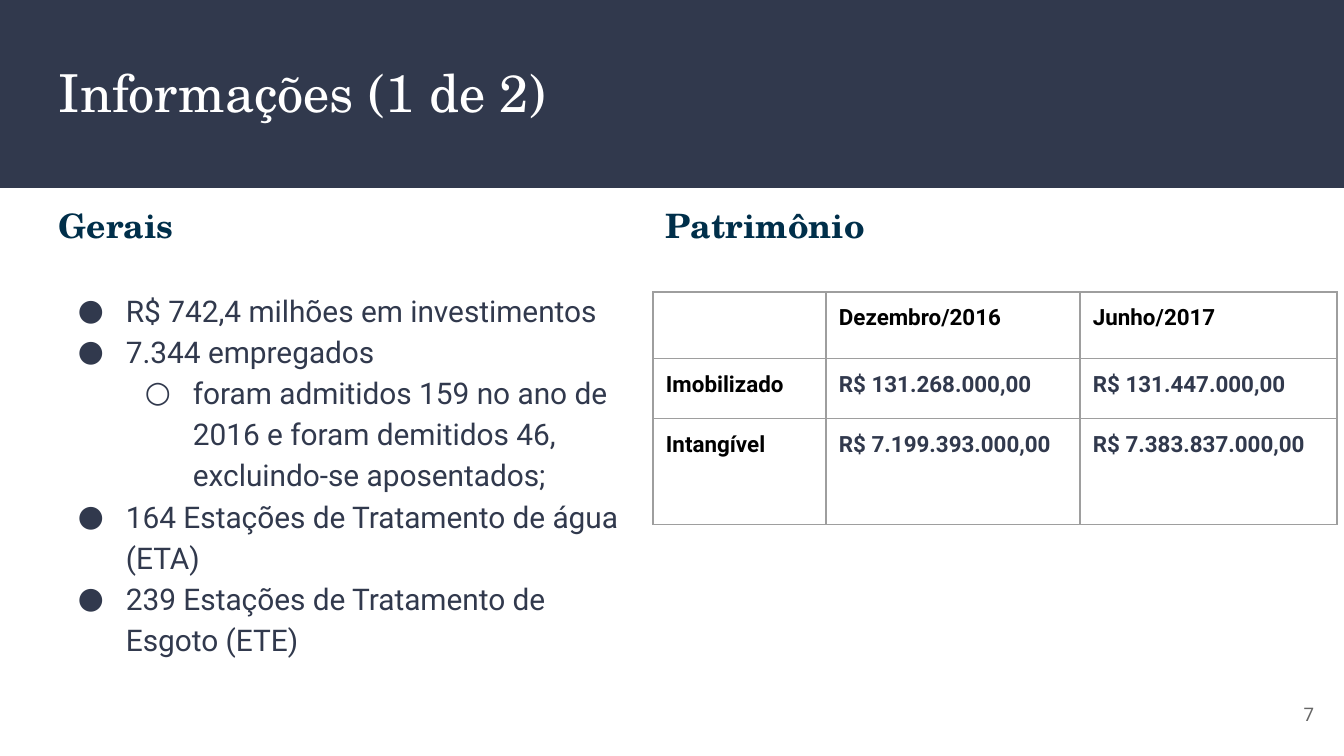
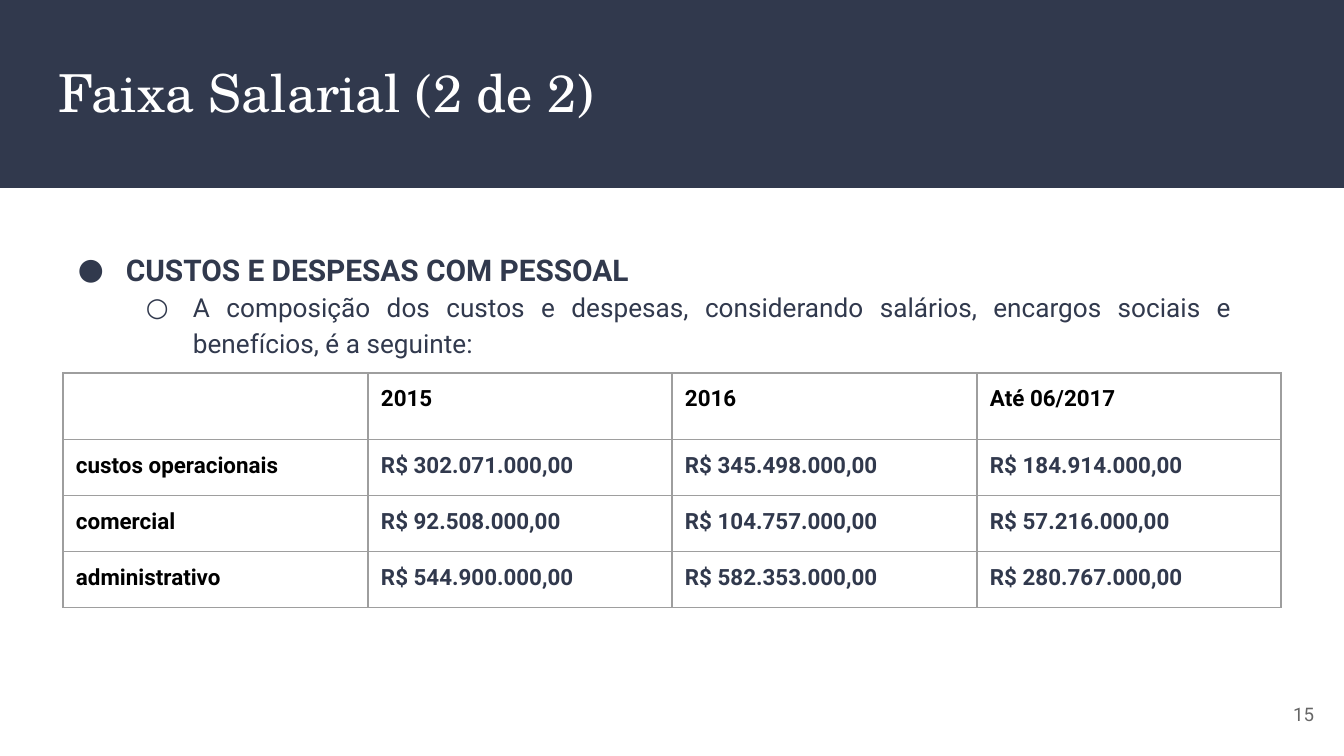
from lxml import etree
from pptx import Presentation
from pptx.dml.color import RGBColor
from pptx.enum.shapes import MSO_SHAPE
from pptx.enum.text import MSO_ANCHOR, PP_ALIGN
from pptx.oxml.ns import qn
from pptx.util import Pt

RECT = MSO_SHAPE.RECTANGLE
TOP, MIDDLE = MSO_ANCHOR.TOP, MSO_ANCHOR.MIDDLE
LEFT, RIGHT, JUSTIFY = PP_ALIGN.LEFT, PP_ALIGN.RIGHT, PP_ALIGN.JUSTIFY

NAVY = RGBColor(0x31, 0x39, 0x4D)
TEAL = RGBColor(0x00, 0x2F, 0x4A)
WHITE = RGBColor(0xFF, 0xFF, 0xFF)
BLACK = RGBColor(0x00, 0x00, 0x00)
GREY = RGBColor(0x66, 0x66, 0x66)
BORDER = RGBColor(0x9E, 0x9E, 0x9E)

SERIF, SANS = "TeX Gyre Schola", "Roboto"
SLIDE_W, SLIDE_H, BAND_H = 1344, 756, 188
INSET, INDENT = 13, 67
BULLETS = "●○"


def px(n):
    return round(n * 914400 / 134.4)


def add_run(p, text, size, color, font=SANS, bold=False):
    r = p.add_run()
    r.text = text
    r.font.size = Pt(size)
    r.font.name = font
    r.font.bold = bold
    r.font.color.rgb = color


def add_box(slide, box, anchor=TOP):
    tf = slide.shapes.add_textbox(*map(px, box)).text_frame
    tf.word_wrap = True
    tf.vertical_anchor = anchor
    tf.margin_left = tf.margin_right = px(INSET)
    tf.margin_top = tf.margin_bottom = px(INSET)
    return tf


def add_line(slide, box, text, size, color, font=SANS, bold=False, align=LEFT, anchor=TOP):
    p = add_box(slide, box, anchor).paragraphs[0]
    p.alignment = align
    add_run(p, text, size, color, font, bold)


def add_heading(slide, box, text):
    add_line(slide, box, text, 18, TEAL, SERIF, bold=True)


def set_bullet(p, level, hang):
    p.level = level
    pPr = p._p.get_or_add_pPr()
    pPr.set("marL", str(px(INDENT * (level + 1))))
    pPr.set("indent", str(-px(hang)))
    clr = etree.SubElement(pPr, qn("a:buClr"))
    etree.SubElement(clr, qn("a:srgbClr"), val=str(NAVY))
    etree.SubElement(pPr, qn("a:buFont"), typeface=SANS)
    etree.SubElement(pPr, qn("a:buChar"), char=BULLETS[level])


def add_bullets(slide, box, items, align=LEFT):
    tf = add_box(slide, box)
    for i, (level, text, size, bold) in enumerate(items):
        p = tf.add_paragraph() if i else tf.paragraphs[0]
        p.alignment = align
        p.line_spacing = 1.15
        set_bullet(p, level, 48 if size == 16 else 47)
        add_run(p, text, size, NAVY, bold=bold)


def set_borders(cell):
    tcPr = cell._tc.get_or_add_tcPr()
    for i, side in enumerate(("a:lnL", "a:lnR", "a:lnT", "a:lnB")):
        ln = etree.Element(qn(side), w=str(Pt(0.75)))
        fill = etree.SubElement(ln, qn("a:solidFill"))
        etree.SubElement(fill, qn("a:srgbClr"), val=str(BORDER))
        tcPr.insert(i, ln)


def add_grid(slide, left, top, col_widths, row_heights, rows):
    box = (left, top, sum(col_widths), sum(row_heights))
    table = slide.shapes.add_table(len(rows), len(col_widths), *map(px, box)).table
    table.first_row = table.horz_banding = False
    for column, width in zip(table.columns, col_widths):
        column.width = px(width)
    for i, (row, height) in enumerate(zip(rows, row_heights)):
        table.rows[i].height = px(height)
        for j, text in enumerate(row):
            cell = table.cell(i, j)
            cell.margin_left = cell.margin_right = px(INSET)
            cell.margin_top = cell.margin_bottom = px(INSET)
            cell.fill.background()
            set_borders(cell)
            if text:
                color = NAVY if i and j else BLACK
                add_run(cell.text_frame.paragraphs[0], text, 12, color, bold=True)


def add_base(prs, title, number):
    slide = prs.slides.add_slide(prs.slide_layouts[6])
    slide.background.fill.solid()
    slide.background.fill.fore_color.rgb = WHITE
    band = slide.shapes.add_shape(RECT, 0, 0, px(SLIDE_W), px(BAND_H))
    band.shadow.inherit = False
    band.fill.solid()
    band.fill.fore_color.rgb = NAVY
    band.line.fill.background()
    add_line(slide, (46, 47, 1252, 93), title, 28, WHITE, SERIF)
    add_line(slide, (1246, 685, 81, 58), number, 10, GREY, align=RIGHT, anchor=MIDDLE)
    return slide


def build_information(prs):
    slide = add_base(prs, "Informações (1 de 2)", "7")
    add_heading(slide, (46, 192, 587, 71), "Gerais")
    add_heading(slide, (653, 192, 587, 71), "Patrimônio")
    add_bullets(slide, (46, 274, 599, 448), [
        (0, "R$ 742,4 milhões em investimentos", 16, False),
        (0, "7.344 empregados", 16, False),
        (1, "foram admitidos 159 no ano de 2016 e foram demitidos 46, "
            "excluindo-se aposentados;", 16, False),
        (0, "164 Estações de Tratamento de água (ETA)", 16, False),
        (0, "239 Estações de Tratamento de Esgoto (ETE)", 16, False),
    ])
    add_grid(slide, 653, 292, (173, 254, 257), (64, 60, 106), [
        ("", "Dezembro/2016", "Junho/2017"),
        ("Imobilizado", "R$ 131.268.000,00", "R$ 131.447.000,00"),
        ("Intangível", "R$ 7.199.393.000,00", "R$ 7.383.837.000,00"),
    ])


def build_salaries(prs):
    slide = add_base(prs, "Faixa Salarial (2 de 2)", "15")
    add_bullets(slide, (46, 233, 1199, 125), [
        (0, "CUSTOS E DESPESAS COM PESSOAL", 16, True),
        (1, "A composição dos custos e despesas, considerando salários, "
            "encargos sociais e benefícios, é a seguinte:", 14, False),
    ], JUSTIFY)
    add_grid(slide, 63, 373, (305, 304, 305, 304), (64, 56, 56, 56), [
        ("", "2015", "2016", "Até 06/2017"),
        ("custos operacionais", "R$ 302.071.000,00", "R$ 345.498.000,00", "R$ 184.914.000,00"),
        ("comercial", "R$ 92.508.000,00", "R$ 104.757.000,00", "R$ 57.216.000,00"),
        ("administrativo", "R$ 544.900.000,00", "R$ 582.353.000,00", "R$ 280.767.000,00"),
    ])


def main():
    prs = Presentation()
    prs.slide_width, prs.slide_height = px(SLIDE_W), px(SLIDE_H)
    build_information(prs)
    build_salaries(prs)
    prs.save("out.pptx")


if __name__ == "__main__":
    main()
